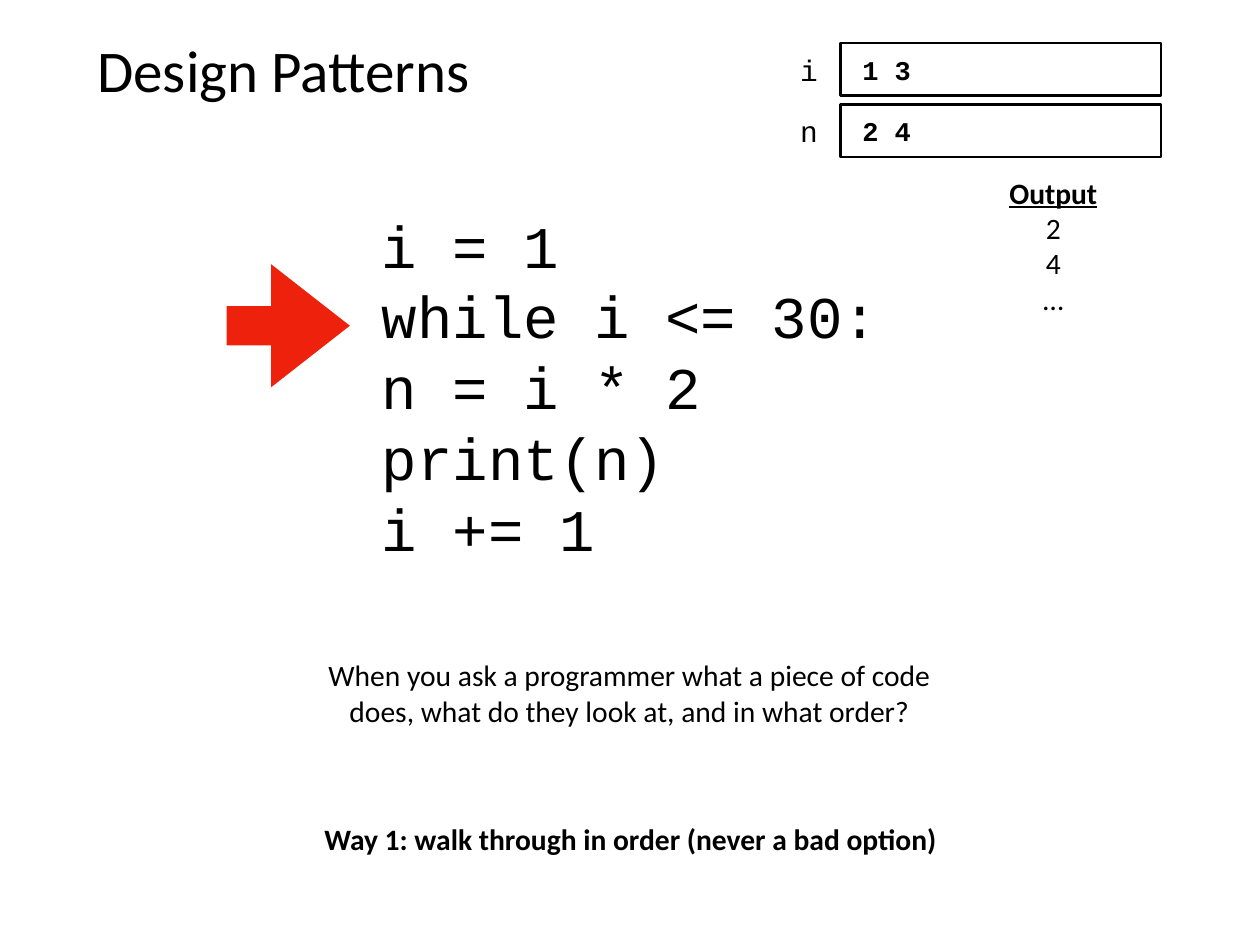
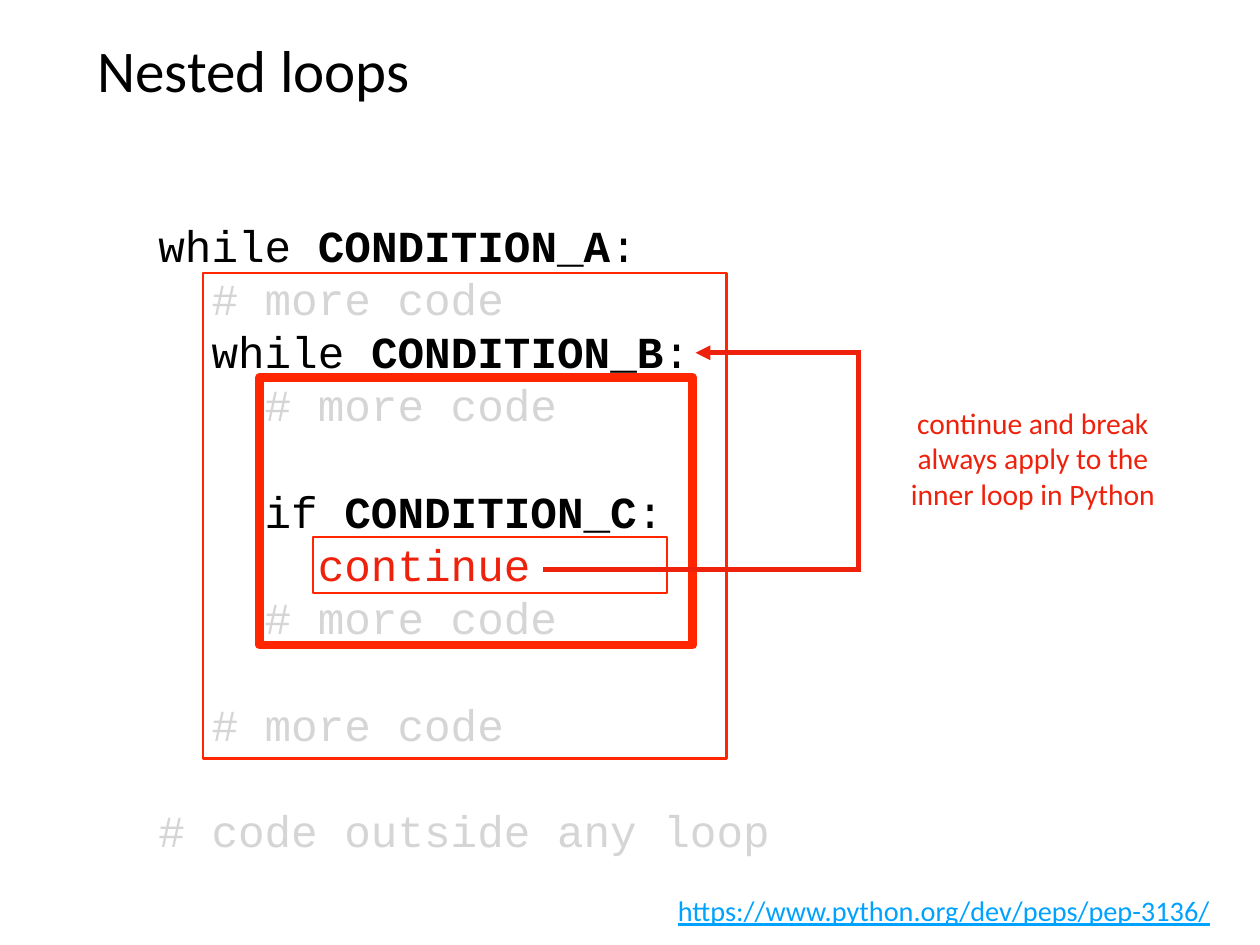
from lxml import etree
from pptx import Presentation
from pptx import util as u
from pptx.dml.color import RGBColor
from pptx.enum import shapes, text
from pptx.oxml.ns import qn

Cm, Pt = u.Cm, u.Pt

# Shared style
BLACK = RGBColor(0x00, 0x00, 0x00)
WHITE = RGBColor(0xFF, 0xFF, 0xFF)
RED = RGBColor(0xEE, 0x22, 0x0C)
FRAME_RED = RGBColor(0xFF, 0x26, 0x00)
GREY = RGBColor(0xD6, 0xD5, 0xD5)
LINK_BLUE = RGBColor(0x00, 0xA2, 0xFF)
BODY, CODE = "Calibri", "Courier New"
LEFT, CENTER = text.PP_ALIGN.LEFT, text.PP_ALIGN.CENTER
TOP, MIDDLE = text.MSO_ANCHOR.TOP, text.MSO_ANCHOR.MIDDLE
INSET = 0.15
TITLE_AREA = (2.64, 0.71, 30.84, 2.51)

# Content: Design Patterns
WALK_CODE = ["i = 1", "while i <= 30:", "n = i * 2", "print(n)", "i += 1"]
QUESTION = ["When you ask a programmer what a piece of code",
            "does, what do they look at, and in what order?"]
ANSWER = ["Way 1: walk through in order (never a bad option)"]
VARIABLES = [("i", "1 3"), ("n", "2 4")]
OUTPUT = [[("Output", {"bold": True, "underline": True})], "2", "4", "…"]

# Content: Nested loops, as (indent level, blank lines above, runs)
BOLD, COMMENT = {"bold": True}, {"color": GREY}
MORE = [("# more code", COMMENT)]
NESTED_CODE = [
    (0, 0, [("while ", {}), ("CONDITION_A", BOLD), (":", {})]),
    (1, 0, MORE),
    (1, 0, [("while ", {}), ("CONDITION_B", BOLD), (":", {})]),
    (2, 0, MORE),
    (2, 1, [("if ", {}), ("CONDITION_C", BOLD), (":", {})]),
    (3, 0, [("continue", {"color": RED})]),
    (2, 0, MORE),
    (1, 1, MORE),
    (0, 1, [("# code outside any loop", COMMENT)]),
]
NESTED_SIZE = 36
LINE_STEP = INDENT_STEP = Pt(1.2 * NESTED_SIZE)  # one line, two characters
LOOP_FRAMES = [((5.82, 7.82, 15.01, 13.92), 2),
               ((7.44, 10.82, 12.42, 7.67), 7),
               ((8.97, 15.39, 10.16, 1.6), 2)]
JUMP_BACK = [(15.57, 16.33), (24.61, 16.33), (24.61, 10.11), (19.94, 10.11)]
NOTE = ["continue and break", "always apply to the", "inner loop in Python"]
LINK = ["https://www.python.org/dev/peps/pep-3136/"]


def place(area):
    return [Cm(length) for length in area]


def write(shape, lines, size, font=BODY, align=LEFT, anchor=MIDDLE, **look):
    """Fill a shape with lines, each a string or a list of (words, look) runs."""
    frame = shape.text_frame
    layout = {"word_wrap": True, "vertical_anchor": anchor}
    layout.update({f"margin_{side}": Cm(INSET)
                   for side in ("left", "right", "top", "bottom")})
    for name, value in layout.items():
        setattr(frame, name, value)
    for number, line in enumerate(lines):
        paragraph = frame.add_paragraph() if number else frame.paragraphs[0]
        paragraph.alignment = align
        for words, own in [(line, {})] if isinstance(line, str) else line:
            run = paragraph.add_run()
            run.text = words
            style = {"name": font, "size": Pt(size), "color": BLACK, **look, **own}
            run.font.color.rgb = style.pop("color")
            for name, value in style.items():
                setattr(run.font, name, value)
    return frame


def add_text(slide, area, lines, size, **options):
    return write(slide.shapes.add_textbox(*place(area)), lines, size, **options)


def paint(shape, fill=None, line=None, width=0):
    shape.shadow.inherit = False
    for part, color in ((shape.fill, fill), (shape.line.fill, line)):
        if color is None:
            part.background()
        else:
            part.solid()
            part.fore_color.rgb = color
    if line is not None:
        shape.line.width = Pt(width)
    return shape


def add_block(slide, kind, area, **colors):
    return paint(slide.shapes.add_shape(kind, *place(area)), **colors)


def add_slide(deck, title):
    slide = deck.slides.add_slide(deck.slide_layouts[6])
    add_text(slide, TITLE_AREA, [title], 48)
    return slide


def build_design_patterns(deck):
    slide = add_slide(deck, "Design Patterns")
    add_text(slide, (10.8, 5.84, 16, 10.44), WALK_CODE, 48, font=CODE, anchor=TOP)
    add_text(slide, (7.92, 18.69, 20.24, 2.31), QUESTION, 24, align=CENTER)
    add_text(slide, (7.42, 23.37, 21.31, 1.3), ANSWER, 24, align=CENTER, bold=True)
    add_text(slide, (28.52, 4.85, 3.35, 4.34), OUTPUT, 24, align=CENTER, anchor=TOP)

    # Variable boxes with their names
    for row, (variable, values) in enumerate(VARIABLES):
        top = 1.24 + 1.76 * row
        box = add_block(slide, shapes.MSO_SHAPE.RECTANGLE, (24.1, top, 9.19, 1.5),
                        fill=WHITE, line=BLACK, width=2)
        write(box, [values], 22, font=CODE, bold=True).margin_left = Cm(0.62)
        add_text(slide, (22.59, top, 1.2, 1.5), [variable], 24, font=CODE, align=CENTER)

    # Pointer to the current line
    pointer = add_block(slide, shapes.MSO_SHAPE.RIGHT_ARROW,
                        (6.5, 7.57, 3.53, 3.53), fill=RED)
    pointer.adjustments[0], pointer.adjustments[1] = 0.32, 0.64


def build_nested_loops(deck):
    slide = add_slide(deck, "Nested loops")
    for area, width in LOOP_FRAMES:
        add_block(slide, shapes.MSO_SHAPE.RECTANGLE, area, line=FRAME_RED, width=width)

    # Arrow from continue back to the inner loop
    start, *corners = [place(point) for point in JUMP_BACK]
    builder = slide.shapes.build_freeform(*start)
    builder.add_line_segments(corners, close=False)
    jump = paint(builder.convert_to_shape(), line=RED, width=4)
    etree.SubElement(jump.line.fill._xPr, qn("a:miter"), lim="800000")
    etree.SubElement(jump.line.fill._xPr, qn("a:tailEnd"), type="triangle")
    add_text(slide, (25.43, 11.46, 8.36, 3.33), NOTE, 24, align=CENTER, color=RED)

    # Code with indents and gaps
    code = add_text(slide, (4.39, 6.1, 18, 18.57), [runs for _, _, runs in NESTED_CODE],
                    NESTED_SIZE, font=CODE, anchor=TOP)
    for paragraph, (level, gap, _) in zip(code.paragraphs, NESTED_CODE):
        paragraph.space_before = gap * LINE_STEP
        paragraph._p.get_or_add_pPr().set("marL", str(level * INDENT_STEP))

    address = add_text(slide, (19.28, 24.99, 16.5, 1.73), LINK, 23,
                       color=LINK_BLUE, underline=True)
    address.paragraphs[0].line_spacing = Pt(41)


def main():
    deck = Presentation()
    deck.slide_width, deck.slide_height = Cm(36.12), Cm(27.08)
    build_design_patterns(deck)
    build_nested_loops(deck)
    deck.save("out.pptx")


if __name__ == "__main__":
    main()
